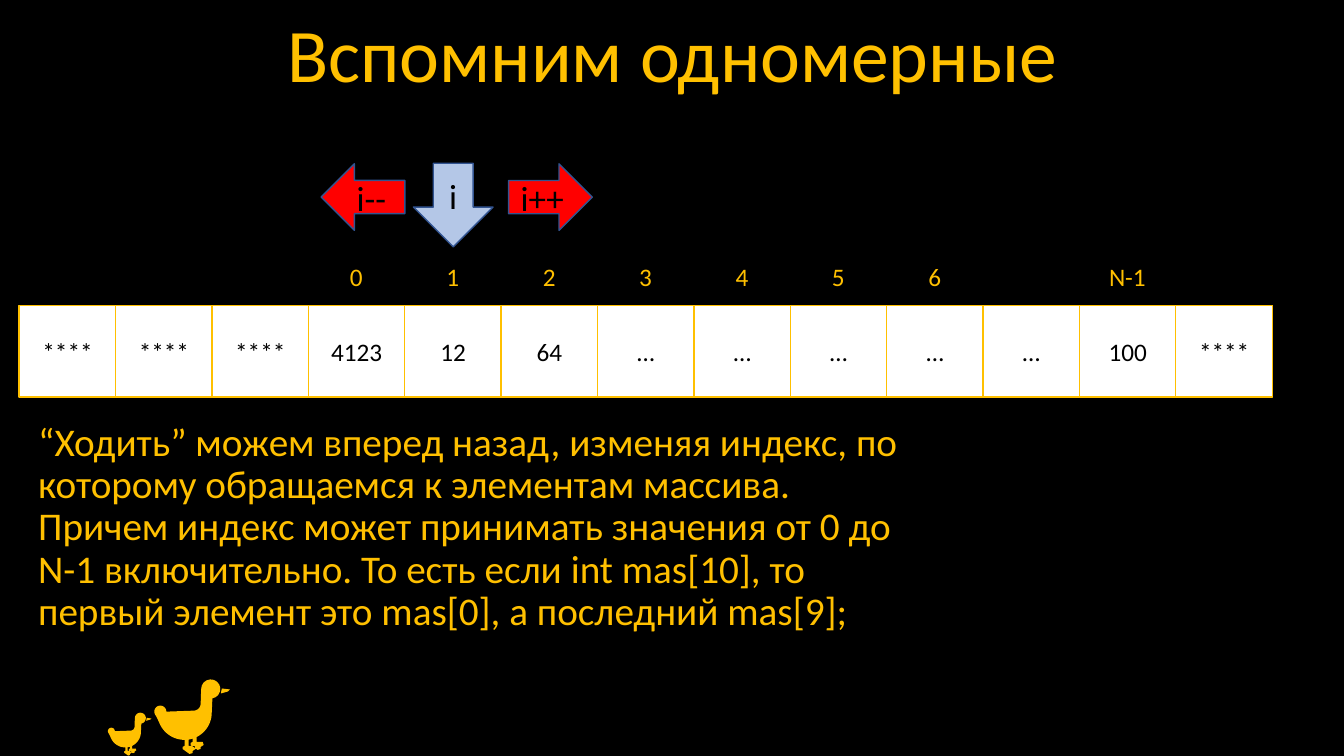
import math

import pptx
import pptx.dml.color
import pptx.enum.shapes
import pptx.enum.text
import pptx.util

EMU_PER_PX = 9144  # 100 px to the inch
FONT = "Calibri"
GOLD, BLACK, WHITE = "FFC000", "000000", "FFFFFF"
RED, PALE_BLUE, DARK_BLUE = "FF0000", "B4C7E7", "325491"
SHAPES = pptx.enum.shapes.MSO_SHAPE
CENTER = pptx.enum.text.PP_ALIGN.CENTER
MIDDLE = pptx.enum.text.MSO_ANCHOR.MIDDLE

# Array in memory: cells outside the array are shown as ****
CELLS = ["****"] * 3 + ["4123", "12", "64"] + ["…"] * 5 + ["100", "****"]
FIRST_CELL = 3
LAST_CELL = 11
CELL_LEFT, CELL_TOP, CELL_STEP, CELL_WIDTH, CELL_HEIGHT = 19, 303, 95.6, 96, 91

EXPLANATION = (
    "“Ходить” можем вперед назад, изменяя индекс, по которому обращаемся к "
    "элементам массива. Причем индекс может принимать значения от 0 до N-1 "
    "включительно. То есть если int mas[10], то первый элемент это mas[0], "
    "а последний mas[9];"
)

# Duck parts in px from its top left corner; circles are (center x, center y, radius)
HEAD, NAPE, TAIL, BELLY = (56, 9.5, 9.5), (39, 24, 7), (6, 32, 6), (30, 33, 27)
BEAK = [(67, 9), (75, 10), (73, 12), (66, 14)]
LEG_WIDTH = 4
REAR_LEG, FRONT_LEG = (30, 66), (38, 62)  # left side, ankle height
FOOT = [(-2, 1), (-2, 3), (5, 8), (8, 7), (8, 5), (11, 3), (10, 0)]  # from the ankle
DUCKS = [(107, 707, 0.575), (153, 674, 1)]  # left, top, scale


def px(length):
    return pptx.util.Emu(round(length * EMU_PER_PX))


def color(hex_code):
    return pptx.dml.color.RGBColor.from_string(hex_code)


def write(paragraph, text, size, hex_code):
    run = paragraph.add_run()
    run.text = text
    run.font.name = FONT
    run.font.size = pptx.util.Pt(size)
    run.font.color.rgb = color(hex_code)


def add_title(slide, text):
    title = slide.shapes.title
    title.left, title.top, title.width, title.height = px(92), px(6), px(1150), px(104)
    title.text_frame.vertical_anchor = MIDDLE
    paragraph = title.text_frame.paragraphs[0]
    paragraph.alignment = CENTER
    paragraph.line_spacing = 0.9
    write(paragraph, text, 54, GOLD)


def arc(circle, start, end, steps=12):
    """Return points along a circle; 0 degrees is right and 90 is down."""
    center_x, center_y, radius = circle
    angles = [math.radians(start + (end - start) * i / steps) for i in range(steps + 1)]
    return [(center_x + radius * math.cos(a), center_y + radius * math.sin(a)) for a in angles]


def belly_angle(x):
    """Return the angle at which the underside of the belly reaches x."""
    center_x, _, radius = BELLY
    return math.degrees(math.acos((x - center_x) / radius))


def leg(left, ankle):
    foot = [(left + x, ankle + y) for x, y in FOOT]
    return [(left, ankle)] + foot + [(left + LEG_WIDTH, ankle)]


def duck_outline():
    """Go round the duck: head, nape, tail, then the belly with its legs."""
    outline = arc(HEAD, 80, -180) + arc(NAPE, 0, 90) + arc(TAIL, 0, -225)
    angle = 160
    for left, ankle in (REAR_LEG, FRONT_LEG):
        outline += arc(BELLY, angle, belly_angle(left)) + leg(left, ankle)
        angle = belly_angle(left + LEG_WIDTH)
    return outline + arc(BELLY, angle, 0)


def add_ducks(slide):
    """Draw the small and the large duck as one shape."""
    contours = [
        [(px(left + x * scale), px(top + y * scale)) for x, y in part]
        for left, top, scale in DUCKS
        for part in (duck_outline(), BEAK)
    ]
    builder = slide.shapes.build_freeform(*contours[0][0])
    builder.add_line_segments(contours[0][1:])
    for contour in contours[1:]:
        builder.move_to(*contour[0])
        builder.add_line_segments(contour[1:])
    ducks = builder.convert_to_shape()
    ducks.shadow.inherit = False
    ducks.fill.solid()
    ducks.fill.fore_color.rgb = color(GOLD)
    ducks.line.fill.background()


def add_block(slide, kind, box, text, size, fill, line):
    """Add a filled preset shape with centred black text."""
    block = slide.shapes.add_shape(kind, *map(px, box))
    block.shadow.inherit = False
    block.fill.solid()
    block.fill.fore_color.rgb = color(fill)
    block.line.color.rgb = color(line)
    block.line.width = pptx.util.Pt(1)
    block.text_frame.vertical_anchor = MIDDLE
    paragraph = block.text_frame.paragraphs[0]
    paragraph.alignment = CENTER
    write(paragraph, text, size, BLACK)
    return block


def add_arrow(slide, box, text, fill, rotation=0, direction="horz"):
    arrow = add_block(slide, SHAPES.DOWN_ARROW, box, text, 25, fill, DARK_BLUE)
    arrow.rotation = rotation
    # Turn the text back against the rotation of the arrow
    arrow.element.txBody.bodyPr.set("vert", direction)


def add_index(slide, cell, text, width):
    """Add an index label centred above a cell."""
    left = CELL_LEFT + cell * CELL_STEP + (CELL_WIDTH - width) / 2
    label = slide.shapes.add_textbox(px(left), px(254), px(width), px(40))
    label.text_frame.word_wrap = False
    label.text_frame.auto_size = pptx.enum.text.MSO_AUTO_SIZE.SHAPE_TO_FIT_TEXT
    write(label.text_frame.paragraphs[0], text, 18, GOLD)


def add_explanation(slide, text):
    explanation = slide.shapes.add_textbox(px(28), px(472), px(875), px(104))
    explanation.text_frame.word_wrap = True
    explanation.text_frame.vertical_anchor = MIDDLE
    paragraph = explanation.text_frame.paragraphs[0]
    paragraph.line_spacing = 0.9
    write(paragraph, text, 28, GOLD)


def main():
    deck = pptx.Presentation()
    deck.slide_width, deck.slide_height = px(1333), px(750)
    slide = deck.slides.add_slide(deck.slide_layouts[5])
    slide.background.fill.solid()
    slide.background.fill.fore_color.rgb = color(BLACK)

    add_title(slide, "Вспомним одномерные")
    add_ducks(slide)

    # Array cells and their indices
    for cell, value in enumerate(CELLS):
        box = (CELL_LEFT + cell * CELL_STEP, CELL_TOP, CELL_WIDTH, CELL_HEIGHT)
        add_block(slide, SHAPES.RECTANGLE, box, value, 18, WHITE, GOLD)
    for index in range(7):
        add_index(slide, FIRST_CELL + index, str(index), 33)
    add_index(slide, LAST_CELL, "N-1", 57)

    # Current index and the two ways to move it
    add_arrow(slide, (410, 162, 79, 83), "i", PALE_BLUE)
    add_arrow(slide, (327, 154, 66, 83), "i--", RED, 90, "vert270")
    add_arrow(slide, (513, 154, 66, 83), "i++", RED, 270, "vert")

    add_explanation(slide, EXPLANATION)
    deck.save("out.pptx")


if __name__ == "__main__":
    main()
